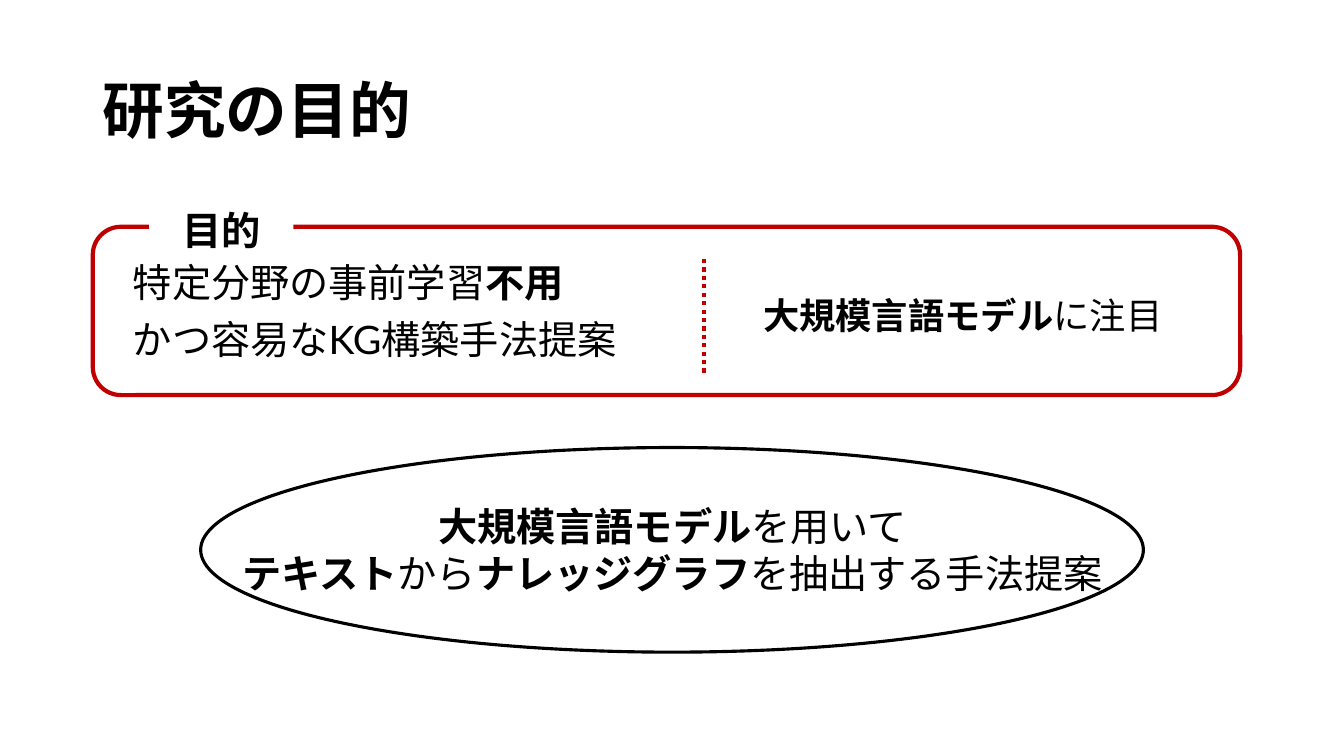
from lxml import etree
from pptx import Presentation
from pptx import util as u
from pptx.dml.color import RGBColor
from pptx.enum import dml, shapes, text
from pptx.oxml import ns

BLACK = RGBColor(0x00, 0x00, 0x00)
WHITE = RGBColor(0xFF, 0xFF, 0xFF)
RED = RGBColor(0xC0, 0x00, 0x00)
FONT = "Lato"


def write(frame, lines, size=28, align=None, line_spacing=None, space_before=None):
    for index, line in enumerate(lines):
        paragraph = frame.paragraphs[0] if index == 0 else frame.add_paragraph()
        paragraph.alignment = align
        paragraph.line_spacing = line_spacing
        if space_before is not None:
            paragraph.space_before = u.Pt(space_before)
        paragraph.font.name = FONT
        paragraph.font.size = u.Pt(size)
        paragraph.font.color.rgb = BLACK
        for words, bold in line:
            run = paragraph.add_run()
            run.text = words
            run.font.bold = bold


def add_text(slide, left, top, width, height, lines, wrap=True,
             anchor=text.MSO_ANCHOR.TOP, **style):
    box = slide.shapes.add_textbox(*map(u.Inches, (left, top, width, height)))
    box.text_frame.word_wrap = wrap
    box.text_frame.vertical_anchor = anchor
    write(box.text_frame, lines, **style)


def add_outline(slide, kind, left, top, width, height, color, weight):
    shape = slide.shapes.add_shape(kind, *map(u.Inches, (left, top, width, height)))
    shape.shadow.inherit = False
    shape.fill.background()
    shape.line.color.rgb = color
    shape.line.width = u.Pt(weight)


def add_label(slide, left, top, width, height, words):
    label = slide.shapes.add_shape(
        shapes.MSO_SHAPE.RECTANGLE, *map(u.Inches, (left, top, width, height)))
    label.shadow.inherit = False
    label.fill.solid()
    label.fill.fore_color.rgb = WHITE
    label.line.fill.background()
    label.text_frame.word_wrap = True
    write(label.text_frame, [[(words, True)]], align=text.PP_ALIGN.CENTER)


def add_divider(slide, x, top, bottom):
    divider = slide.shapes.add_connector(
        shapes.MSO_CONNECTOR.STRAIGHT, *map(u.Inches, (x, top, x, bottom)))
    divider.line.color.rgb = RED
    divider.line.width = u.Pt(3)
    divider.line.dash_style = dml.MSO_LINE.ROUND_DOT
    etree.SubElement(divider._element.spPr, ns.qn("a:effectLst"))


def add_title(slide, left, top, width, height):
    add_text(slide, left, top, width, height, [[("研究の目的", True)]], size=44,
             line_spacing=0.9, anchor=text.MSO_ANCHOR.MIDDLE)


def add_purpose(slide, left, top, width, height):
    add_outline(slide, shapes.MSO_SHAPE.ROUNDED_RECTANGLE,
                left, top, width, height, RED, 3)
    body = {"line_spacing": 0.9, "space_before": 10}
    add_text(slide, left + 0.3, top + 0.32, 6.25, 1.13, [
        [("特定分野の事前学習", False), ("不用", True)],
        [("かつ容易なKG構築手法提案", False)],
    ], **body)
    add_label(slide, left + 0.56, top - 0.25, 1.43, 0.57, "目的")
    add_text(slide, left + 6.55, top + 0.66, 4.32, 0.6, [
        [("大規模言語モデル", True), ("に注目", False)],
    ], size=25.9, **body)
    add_divider(slide, left + 6.06, top + 0.32, top + 1.45)


def add_proposal(slide, left, top, width, height):
    add_text(slide, left + 0.26, top + 0.49, width - 0.51, 1.04, [
        [("大規模言語モデル", True), ("を用いて", False)],
        [("テキスト", True), ("から", False), ("ナレッジグラフ", True),
         ("を抽出する手法提案", False)],
    ], wrap=False, align=text.PP_ALIGN.CENTER)
    add_outline(slide, shapes.MSO_SHAPE.OVAL, left, top, width, height, BLACK, 2.25)


def main():
    presentation = Presentation()
    presentation.slide_width = u.Inches(13.33)
    presentation.slide_height = u.Inches(7.5)
    slide = presentation.slides.add_slide(presentation.slide_layouts[6])
    add_title(slide, 0.92, 0.4, 11.5, 1.45)
    add_purpose(slide, 0.92, 2.25, 11.38, 1.67)
    add_proposal(slide, 1.99, 4.44, 9.35, 2.03)
    presentation.save("out.pptx")


if __name__ == "__main__":
    main()
